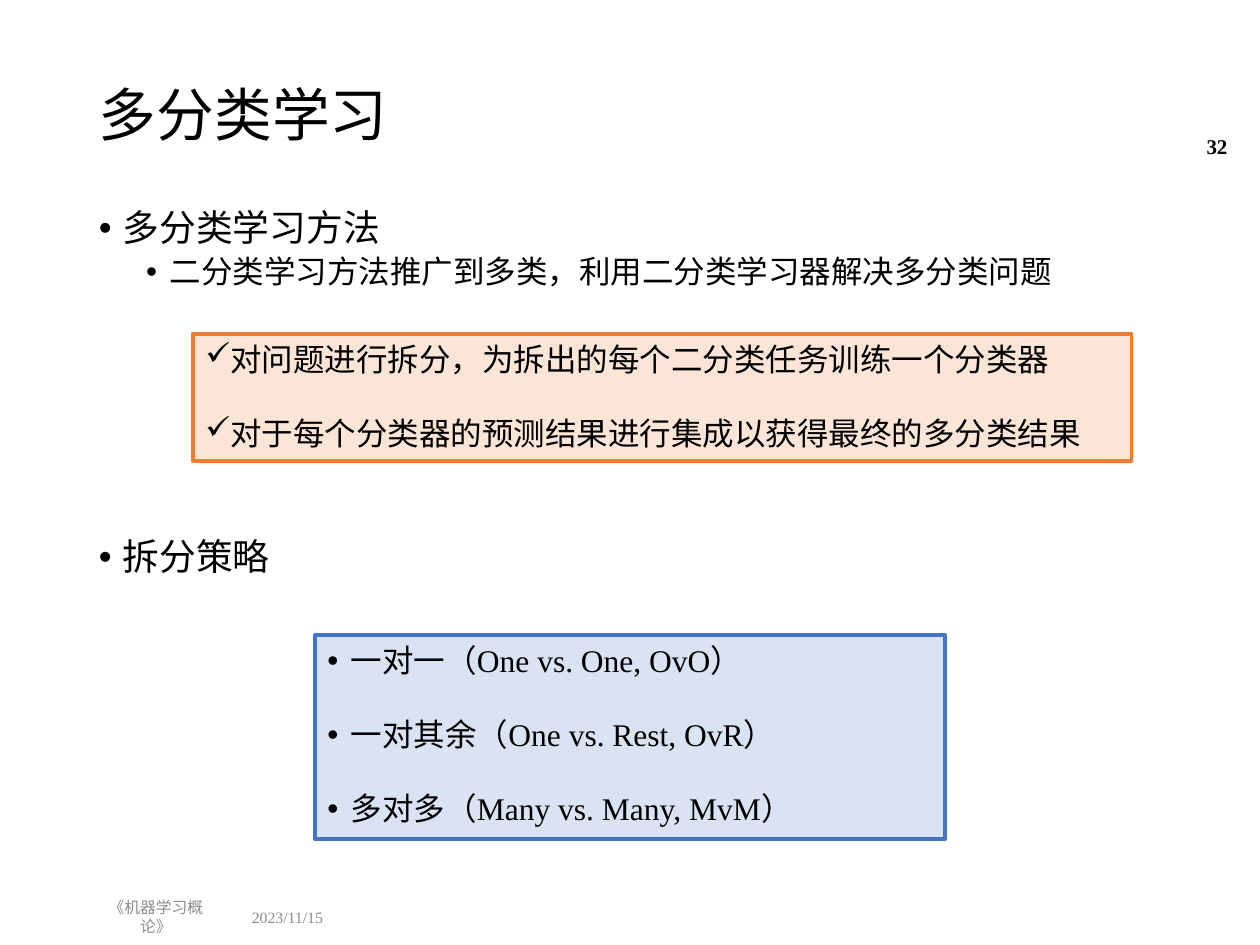
from dataclasses import dataclass

from lxml import etree
from pptx import Presentation
from pptx.dml.color import RGBColor
from pptx.enum import shapes, text
from pptx.oxml import ns
from pptx.util import Pt

FONT = "Times New Roman"
HANG = 13.5
GAP = 20.7


@dataclass(frozen=True)
class Para:
    words: str
    size: float
    color: str = "000000"
    bold: bool = False
    align: text.PP_ALIGN = text.PP_ALIGN.LEFT
    bullet: str = ""
    level: int = 0
    margin: float = HANG
    before: float = 0
    spacing: float = 1.0


@dataclass(frozen=True)
class Block:
    left: float
    top: float
    width: float
    height: float
    paras: tuple[Para, ...]
    anchor: text.MSO_ANCHOR = text.MSO_ANCHOR.MIDDLE
    fill: str = ""
    line: str = ""


def color(value: str) -> RGBColor:
    return RGBColor.from_string(value)


def add_bullet(para, item: Para) -> None:
    properties = para._p.get_or_add_pPr()
    properties.set("marL", str(Pt(item.margin)))
    properties.set("indent", str(Pt(-HANG)))
    if item.bullet == "•":
        etree.SubElement(properties, ns.qn("a:buFont")).set("typeface", "Arial")
    etree.SubElement(properties, ns.qn("a:buChar")).set("char", item.bullet)


def write_para(para, item: Para) -> None:
    para.alignment = item.align
    para.level = item.level
    para.line_spacing = item.spacing
    para.space_before = Pt(item.before)
    if item.bullet:
        add_bullet(para, item)
    span = para.add_run()
    span.text = item.words
    span.font.name = FONT
    span.font.size = Pt(item.size)
    span.font.bold = item.bold
    span.font.color.rgb = color(item.color)


def draw_block(page, block: Block) -> None:
    place = [Pt(v) for v in (block.left, block.top, block.width, block.height)]
    if block.fill:
        box = page.shapes.add_shape(shapes.MSO_SHAPE.RECTANGLE, *place)
        box.shadow.inherit = False
        box.fill.solid()
        box.fill.fore_color.rgb = color(block.fill)
        box.line.color.rgb = color(block.line)
        box.line.width = Pt(2.25)
    else:
        box = page.shapes.add_textbox(*place)
    frame = box.text_frame
    frame.word_wrap = True
    frame.vertical_anchor = block.anchor
    for index, item in enumerate(block.paras):
        write_para(frame.add_paragraph() if index else frame.paragraphs[0], item)


def boxed_list(bullet: str, level: int, lines: tuple[str, ...]) -> tuple[Para, ...]:
    return tuple(
        Para(line, 18, bullet=bullet, level=level, before=GAP if index else 0)
        for index, line in enumerate(lines)
    )


TOP = text.MSO_ANCHOR.TOP
GREY = "8C8C8C"
OUTLINE = (
    Para("多分类学习方法", 21, bullet="•", before=7.5, spacing=0.9),
    Para("二分类学习方法推广到多类，利用二分类学习器解决多分类问题", 18,
         bullet="•", level=1, margin=3 * HANG, before=3.8, spacing=0.9),
    Para("拆分策略", 21, bullet="•", before=142, spacing=0.9),
)
STEPS = boxed_list("✓", 2, (
    "对问题进行拆分，为拆出的每个二分类任务训练一个分类器",
    "对于每个分类器的预测结果进行集成以获得最终的多分类结果",
))
STRATEGIES = boxed_list("•", 1, (
    "一对一（One vs. One, OvO）",
    "一对其余（One vs. Rest, OvR）",
    "多对多（Many vs. Many, MvM）",
))
BLOCKS = (
    Block(49.5, 28.75, 621, 77, (Para("多分类学习", 33, spacing=0.9),)),
    Block(49.5, 116.6, 621, 388, OUTLINE, TOP),
    Block(136.8, 513.4, 65.5, 20.9, (Para("2023/11/15", 9, GREY),)),
    Block(49.5, 513.4, 79.2, 20.9,
          (Para("《机器学习概论》", 9, GREY, align=text.PP_ALIGN.CENTER),)),
    Block(658.8, 69.1, 49.7, 28.8,
          (Para("32", 12, bold=True, align=text.PP_ALIGN.RIGHT),)),
    Block(110.2, 190.8, 536.4, 72.7, STEPS, TOP, "FBE5D6", "ED7D31"),
    Block(180, 363, 360, 116.6, STRATEGIES, TOP, "DAE3F3", "4472C4"),
)


def main() -> None:
    """Build the multi-class learning slide and save it."""
    deck = Presentation()
    deck.slide_width, deck.slide_height = Pt(720), Pt(540)
    page = deck.slides.add_slide(deck.slide_layouts[6])
    for block in BLOCKS:
        draw_block(page, block)
    deck.save("out.pptx")


if __name__ == "__main__":
    main()
